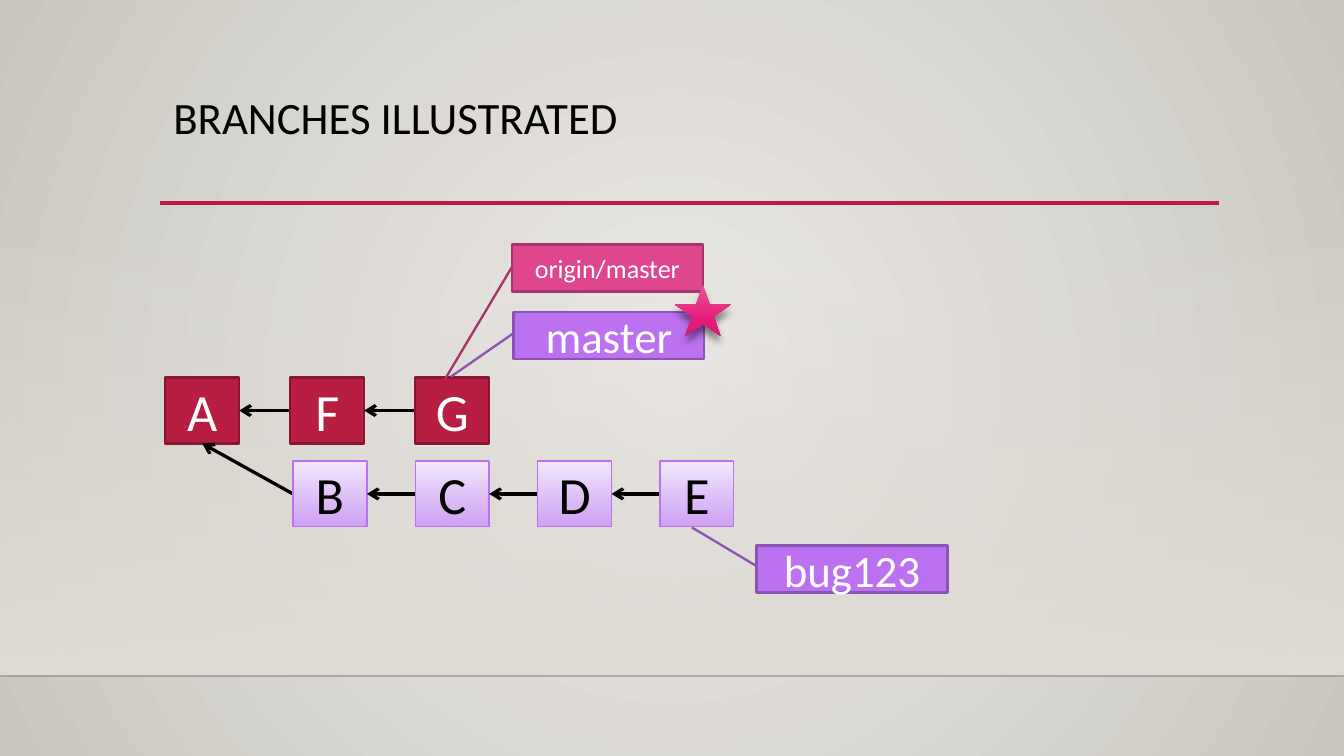
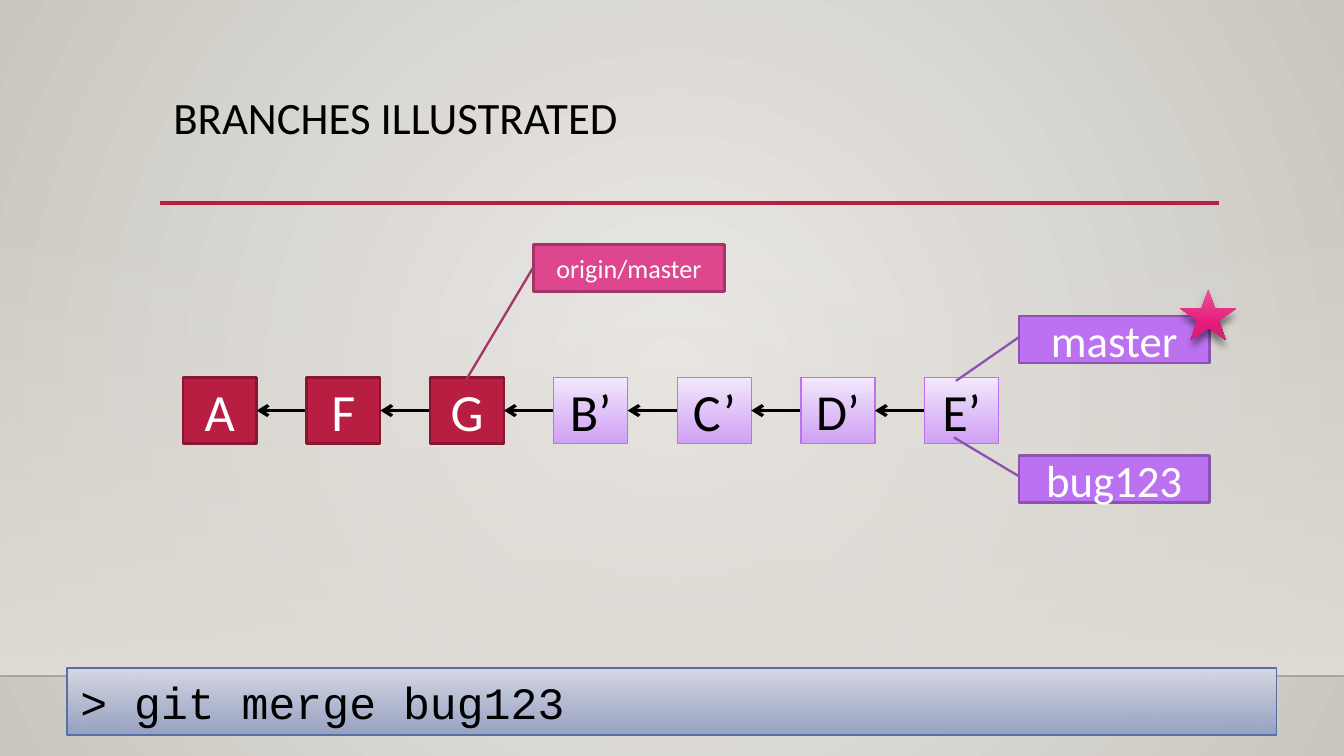
from lxml import etree
from pptx import Presentation
from pptx.dml.color import RGBColor
from pptx.enum.shapes import MSO_CONNECTOR, MSO_SHAPE
from pptx.enum.text import MSO_ANCHOR, MSO_AUTO_SIZE, PP_ALIGN
from pptx.oxml.ns import qn
from pptx.util import Inches, Pt

RECTANGLE, STAR = MSO_SHAPE.RECTANGLE, MSO_SHAPE.STAR_5_POINT
CALLOUT = MSO_SHAPE.LINE_CALLOUT_1
STRAIGHT = MSO_CONNECTOR.STRAIGHT
TOP, MIDDLE = MSO_ANCHOR.TOP, MSO_ANCHOR.MIDDLE
LEFT, CENTER = PP_ALIGN.LEFT, PP_ALIGN.CENTER

COLORS = {
    "black": "000000", "white": "FFFFFF", "hairline": "000001",
    "page_light": "ECEAE7", "page_dark": "CAC7C1", "band": "DFDBD5",
    "red": "B71E42", "red_edge": "871631",
    "purple": "BC72F0", "purple_edge": "8B54B2",
    "lilac_light": "F4EAFD", "lilac": "CE9CF7",
    "pink": "DE478E", "pink_edge": "A43569",
    "star_light": "E75597", "star": "E51A79", "star_dark": "CF2374",
    "blue_light": "D6D9E5", "blue": "929DC0", "blue_edge": "586EA6",
}
# Gradient stops: position, colour, opacity (all but colour in percent)
PAGE_STOPS = [(0, "page_light", 100), (100, "page_dark", 100)]
BAND_STOPS = [(0, "band", 0), (100, "band", 100)]
LILAC_STOPS = [(0, "lilac_light", 100), (100, "lilac", 92)]
BLUE_STOPS = [(0, "blue_light", 100), (100, "blue", 92)]
STAR_STOPS = [(0, "star_light", 100), (69, "star", 100), (100, "star_dark", 100)]

NODE_STYLES = {
    "master": {"fill": "red", "edge": "red_edge", "width": 1.25, "text": "white"},
    "bug": {"fill": LILAC_STOPS, "edge": "purple", "width": 0.75, "text": "black"},
}
NODE_SIZES = {"D’": 27}
# Callout adjustments: start y, start x, end y, end x as parts of the tag
TAG_STYLES = {
    "origin/master": {"fill": "pink", "edge": "pink_edge", "size": 14,
                      "pointer": (0.446, 0.004, 2.86, -0.351)},
    "master": {"fill": "purple", "edge": "purple_edge", "size": 24,
               "pointer": (0.446, 0.004, 1.383, -0.329)},
    "bug123": {"fill": "purple", "edge": "purple_edge", "size": 24,
               "pointer": (0.446, 0.004, -0.389, -0.34)},
}
NODE_WIDTH, NODE_HEIGHT = 0.55, 0.49
TITLE_BOX = (1.19, 0.66, 7.88, 0.86)


def rgb(name):
    return RGBColor.from_string(COLORS[name])


def add_child(parent, tag, **attributes):
    values = {key: str(value) for key, value in attributes.items()}
    return etree.SubElement(parent, qn(tag), values)


def add_color(parent, name, opacity):
    color = add_child(parent, "a:srgbClr", val=COLORS[name])
    if opacity < 100:
        add_child(color, "a:alpha", val=opacity * 1000)


def set_gradient(fill, holder, stops, radial=False):
    """Replace the solid fill inside the holder element by a gradient."""
    fill.solid()
    solid = holder.find(qn("a:solidFill"))
    gradient = etree.Element(qn("a:gradFill"), rotWithShape="1")
    stop_list = add_child(gradient, "a:gsLst")
    for position, name, opacity in stops:
        add_color(add_child(stop_list, "a:gs", pos=position * 1000), name, opacity)
    if radial:
        circle = add_child(gradient, "a:path", path="circle")
        add_child(circle, "a:fillToRect", l=50000, t=50000, r=50000, b=50000)
    else:
        add_child(gradient, "a:lin", ang=90 * 60000, scaled=0)
    holder.replace(solid, gradient)


def add_box(page, kind, box, fill, edge=None, width=1):
    shape = page.shapes.add_shape(kind, *map(Inches, box))
    shape.shadow.inherit = False
    if isinstance(fill, list):
        set_gradient(shape.fill, shape._element.spPr, fill)
    else:
        shape.fill.solid()
        shape.fill.fore_color.rgb = rgb(fill)
    if edge:
        shape.line.color.rgb = rgb(edge)
        shape.line.width = Pt(width)
    else:
        shape.line.fill.background()
    return shape


def write_text(shape, text, size, color, font="Calibri", align=CENTER,
               anchor=MIDDLE, **frame_values):
    frame = shape.text_frame
    for name, value in {"vertical_anchor": anchor, **frame_values}.items():
        setattr(frame, name, value)
    para = frame.paragraphs[0]
    para.alignment = align
    span = para.add_run()
    span.text = text
    for name, value in {"name": font, "size": Pt(size)}.items():
        setattr(span.font, name, value)
    span.font.color.rgb = rgb(color)
    return para


def add_line(page, start, end, color, width, opacity=100, arrow=False):
    line = page.shapes.add_connector(STRAIGHT, *map(Inches, (*start, *end)))
    line.line.color.rgb = rgb(color)
    line.line.width = Pt(width)
    outline = line._element.spPr.find(qn("a:ln"))
    if opacity < 100:
        add_child(outline.find(".//" + qn("a:srgbClr")), "a:alpha", val=opacity * 1000)
    if arrow:
        add_child(outline, "a:tailEnd", type="arrow")
    add_child(line._element.spPr, "a:effectLst")
    return line


def dress_layout(deck, layout, page):
    """Draw the shared background, band and rules, then move them to the layout."""
    master = deck.slide_master
    fill = master.background.fill
    fill.solid()
    set_gradient(fill, master.element.find(".//" + qn("p:bgPr")), PAGE_STOPS, True)
    left, top, width, height = TITLE_BOX
    rule_y = top + height - 0.01
    parts = [
        add_box(page, RECTANGLE, (0, 1.66, 10, 3.37), BAND_STOPS),
        add_line(page, (0, 5.03), (10, 5.03), "hairline", 1, opacity=20),
        add_line(page, (left, rule_y), (left + width, rule_y), "red", 2.5),
    ]
    for index, part in enumerate(parts):
        layout.shapes._spTree.insert(2 + index, part._element)


def place_title(page, text, box):
    title = page.shapes.title
    for name, value in zip(("left", "top", "width", "height"), box):
        setattr(title, name, Inches(value))
    para = write_text(title, text, 24, "black", align=LEFT, anchor=TOP,
                      word_wrap=True, auto_size=MSO_AUTO_SIZE.NONE)
    para.line_spacing = 0.9


def draw_chain(page, left, top, step, commits):
    """Draw commits in a row, each with an arrow back to the one before."""
    middle = top + NODE_HEIGHT / 2
    for index, (label, branch) in enumerate(commits):
        x = left + index * step
        if index:
            add_line(page, (x, middle), (x - step + NODE_WIDTH, middle),
                     "black", 1.75, arrow=True)
        style = NODE_STYLES[branch]
        node = add_box(page, RECTANGLE, (x, top, NODE_WIDTH, NODE_HEIGHT),
                       style["fill"], style["edge"], style["width"])
        write_text(node, label, NODE_SIZES.get(label, 28), style["text"],
                   word_wrap=False)


def draw_tag(page, name, left, top, current=False):
    """Draw a branch tag, with a star on its corner if it is checked out."""
    style = TAG_STYLES[name]
    tag = add_box(page, CALLOUT, (left, top, 1.42, 0.35),
                  style["fill"], style["edge"], 1.25)
    for index, value in enumerate(style["pointer"]):
        tag.adjustments[index] = value
    write_text(tag, name, style["size"], "white")
    if current:
        star = add_box(page, STAR, (left + 1.2, top - 0.2, 0.42, 0.38), STAR_STOPS)
        effects = star._element.spPr.find(qn("a:effectLst"))
        shadow = add_child(effects, "a:outerShdw", blurRad=Pt(4), dist=Pt(4),
                           dir=90 * 60000, rotWithShape=0)
        add_color(shadow, "black", 48)


def draw_command(page, text, box):
    bar = add_box(page, RECTANGLE, box, BLUE_STOPS, "blue_edge", 0.75)
    write_text(bar, text, 24, "black", "Courier New", LEFT, TOP,
               word_wrap=True, auto_size=MSO_AUTO_SIZE.SHAPE_TO_FIT_TEXT)


def commits_of(branch, labels):
    return [(label, branch) for label in labels]


def draw_diverged(page):
    left, top = 1.23, 2.81
    bug_left, bug_top = 2.18, 3.43
    draw_chain(page, left, top, 0.93, commits_of("master", "AFG"))
    add_line(page, (bug_left, bug_top + NODE_HEIGHT / 2),
             (left + NODE_WIDTH / 2, top + NODE_HEIGHT), "black", 1.75, arrow=True)
    draw_chain(page, bug_left, bug_top, 0.91, commits_of("bug", "BCDE"))
    draw_tag(page, "bug123", 5.63, 4.06)
    draw_tag(page, "origin/master", 3.81, 1.82)
    draw_tag(page, "master", 3.82, 2.32, current=True)


def draw_merged(page):
    commits = commits_of("master", "AFG") + commits_of("bug", ["B’", "C’", "D’", "E’"])
    draw_chain(page, 1.36, 2.81, 0.92, commits)
    draw_tag(page, "bug123", 7.58, 3.39)
    draw_tag(page, "origin/master", 3.97, 1.82)
    draw_tag(page, "master", 7.58, 2.35, current=True)
    draw_command(page, "> git merge bug123", (0.5, 4.97, 9, 0.5))


def main():
    deck = Presentation()
    deck.slide_width = Inches(10)
    deck.slide_height = Inches(10 * 9 / 16)
    layout = deck.slide_layouts.get_by_name("Title Only")
    for index, draw_content in enumerate((draw_diverged, draw_merged)):
        page = deck.slides.add_slide(layout)
        if index == 0:
            dress_layout(deck, layout, page)
        place_title(page, "BRANCHES ILLUSTRATED", TITLE_BOX)
        draw_content(page)
    deck.save("out.pptx")


if __name__ == "__main__":
    main()
